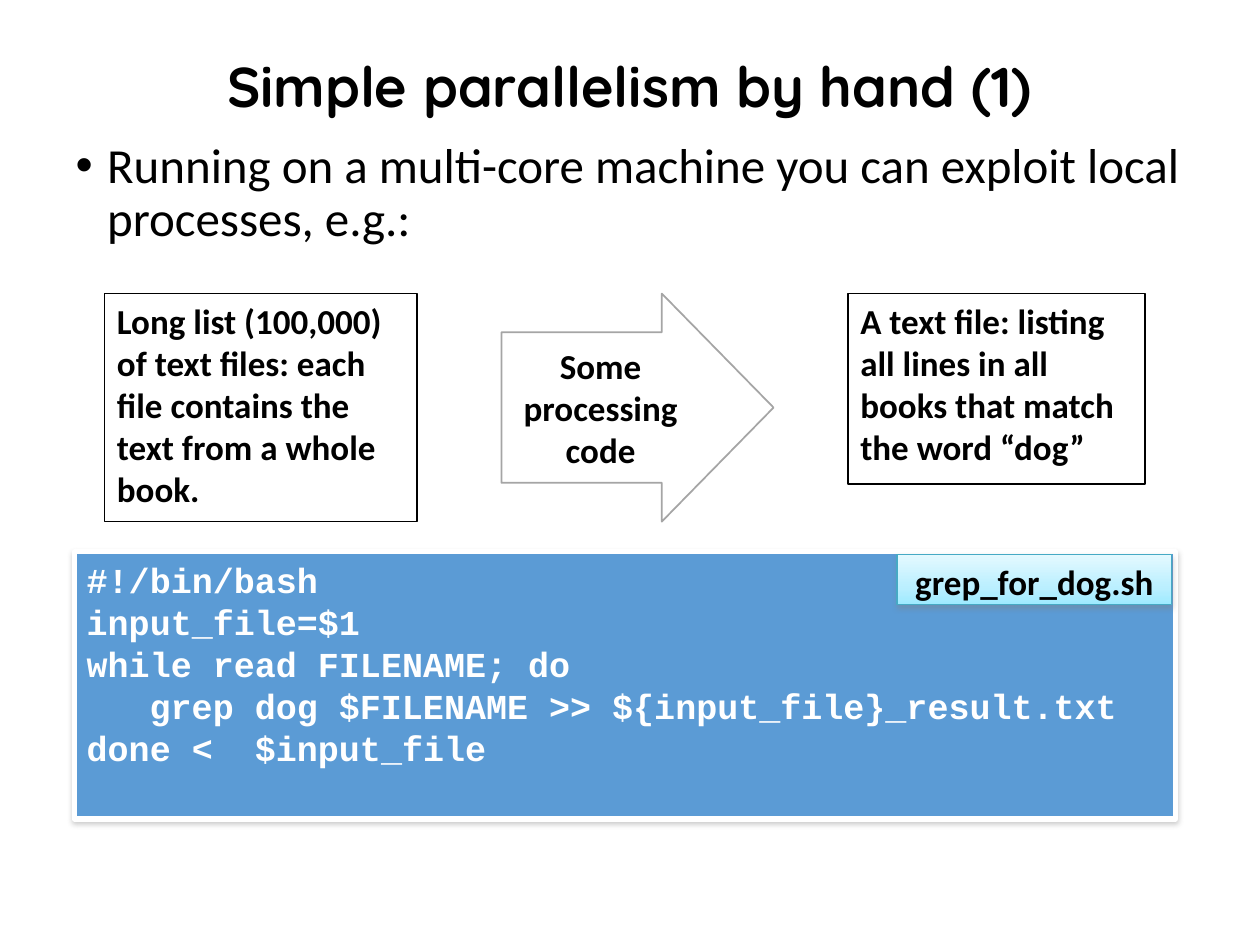
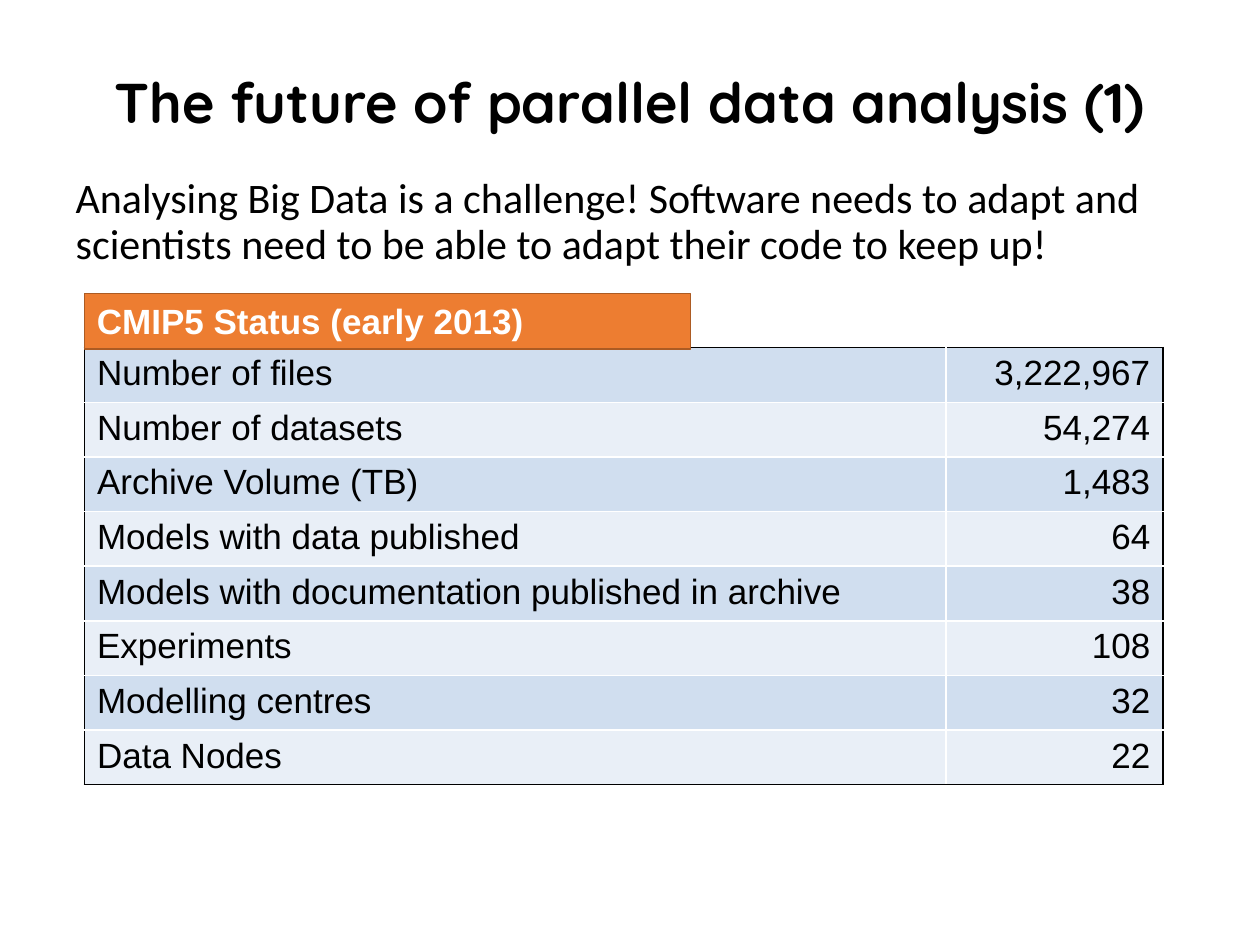
from copy import deepcopy

from lxml.etree import SubElement
from pptx import Presentation
from pptx.dml.color import RGBColor
from pptx.enum.shapes import MSO_SHAPE
from pptx.enum.text import MSO_ANCHOR, MSO_AUTO_SIZE, PP_ALIGN
from pptx.oxml.ns import qn
from pptx.util import Inches, Pt

BLACK = RGBColor(0x00, 0x00, 0x00)
WHITE = RGBColor(0xFF, 0xFF, 0xFF)
GRAY = RGBColor(0xA5, 0xA5, 0xA5)
BLUE = RGBColor(0x5B, 0x9B, 0xD5)
TEAL = RGBColor(0x46, 0xAA, 0xC5)
ORANGE = RGBColor(0xED, 0x7D, 0x31)
RUST = RGBColor(0xAC, 0x5B, 0x23)
SHADE = RGBColor(0x80, 0x80, 0x80)
BANDS = (RGBColor(0xD0, 0xDE, 0xEF), RGBColor(0xE9, 0xEF, 0xF7))
GLOW = (
    (0, RGBColor(0xE4, 0xF9, 0xFF)),
    (0.65, RGBColor(0xBB, 0xEF, 0xFF)),
    (1, RGBColor(0x9E, 0xEA, 0xFF)),
)

CODE = (
    "#!/bin/bash",
    "input_file=$1",
    "while read FILENAME; do",
    "\tgrep dog $FILENAME >> ${input_file}_result.txt",
    "done <  $input_file",
)
STATS = (
    ("Number of files", "3,222,967"),
    ("Number of datasets", "54,274"),
    ("Archive Volume (TB)", "1,483"),
    ("Models with data published", "64"),
    ("Models with documentation published in archive", "38"),
    ("Experiments", "108"),
    ("Modelling centres", "32"),
    ("Data Nodes", "22"),
)


class Deck:
    """Holds the shared style and the slide being built."""

    def __init__(self):
        self.prs = Presentation()
        self.prs.slide_width = Inches(10)
        self.prs.slide_height = Inches(7.5)

    def start(self, title, top, height):
        self.slide = self.prs.slides.add_slide(self.prs.slide_layouts[1])
        self.host = self.slide.shapes
        head = self.slide.shapes.title
        self.place(head, top, height)
        head.text_frame.vertical_anchor = MSO_ANCHOR.MIDDLE
        para = head.text_frame.paragraphs[0]
        para.line_spacing = 0.9
        self.label(para, title, 32, "Quicksand", BLACK, True, PP_ALIGN.CENTER)

    def group(self):
        self.host = self.slide.shapes.add_group_shape().shapes

    def place(self, holder, top, height):
        holder.left, holder.top = Inches(0.5), Inches(top)
        holder.width, holder.height = Inches(9), Inches(height)
        holder.text_frame.auto_size = MSO_AUTO_SIZE.NONE
        holder.text_frame.word_wrap = True

    def label(self, para, text, size, font, color, bold=False, align=PP_ALIGN.LEFT):
        para.alignment = align
        run = para.add_run()
        run.text = text
        run.font.size = Pt(size)
        run.font.name = font
        run.font.bold = bold
        run.font.color.rgb = color

    def body(self, text, top, height, size, bullet=False):
        holder = self.slide.placeholders[1]
        self.place(holder, top, height)
        para = holder.text_frame.paragraphs[0]
        props = para._p.get_or_add_pPr()
        indent = Inches(0.25) if bullet else 0
        props.set("marL", str(indent))
        props.set("indent", str(-indent))
        if bullet:
            SubElement(props, qn("a:buFont"), typeface="Arial")
            SubElement(props, qn("a:buChar"), char="•")
        else:
            SubElement(props, qn("a:buNone"))
        para.line_spacing = 0.9
        para.space_before = Pt(0)
        self.label(para, text, size, "Calibri", BLACK)

    def box(self, lines, area, fill, line, width=1, font="Calibri", color=BLACK,
            kind=MSO_SHAPE.RECTANGLE, align=PP_ALIGN.LEFT, anchor=MSO_ANCHOR.TOP):
        shape = self.host.add_shape(kind, *map(Inches, area))
        shape.shadow.inherit = False
        shape.fill.solid()
        shape.fill.fore_color.rgb = fill
        shape.line.color.rgb = line
        shape.line.width = Pt(width)
        frame = shape.text_frame
        frame.word_wrap = True
        frame.vertical_anchor = anchor
        for i, text in enumerate(lines):
            para = frame.add_paragraph() if i else frame.paragraphs[0]
            self.label(para, text, 20, font, color, True, align)
        return shape

    def shadow(self, shape):
        effects = shape._element.spPr.find(qn("a:effectLst"))
        outer = SubElement(effects, qn("a:outerShdw"), blurRad=str(Pt(3.1)),
                           dist=str(Pt(1.6)), dir="5400000", rotWithShape="0")
        tone = SubElement(outer, qn("a:srgbClr"), val=str(SHADE))
        SubElement(tone, qn("a:alpha"), val="38000")

    def blend(self, shape, stops):
        shape.fill.gradient()
        shape.fill.gradient_angle = 270
        marks = shape._element.spPr.find(".//" + qn("a:gsLst"))
        while len(marks) < len(stops):
            marks.append(deepcopy(marks[0]))
        for mark, (pos, color) in zip(shape.fill.gradient_stops, stops):
            mark.position = pos
            mark.color.rgb = color

    def border(self, cell, colors):
        props = cell._tc.get_or_add_tcPr()
        for i, (side, color) in enumerate(zip("LRTB", colors)):
            edge = props.makeelement(qn("a:ln" + side), {"w": str(Pt(1))})
            fill = SubElement(edge, qn("a:solidFill"))
            SubElement(fill, qn("a:srgbClr"), val=str(color))
            props.insert(i, edge)

    def table(self, rows, left, top, widths, height):
        count, last = len(rows), len(widths) - 1
        frame = self.host.add_table(count, len(widths), Inches(left), Inches(top),
                                    Inches(sum(widths)), Inches(height))
        grid = frame.table
        grid.first_row = False
        for col, width in zip(grid.columns, widths):
            col.width = Inches(width)
        for r, row in enumerate(rows):
            for c, text in enumerate(row):
                cell = grid.cell(r, c)
                cell.fill.solid()
                cell.fill.fore_color.rgb = BANDS[r % 2]
                align = PP_ALIGN.RIGHT if c else PP_ALIGN.LEFT
                self.label(cell.text_frame.paragraphs[0], text, 20, "Arial", BLACK,
                           align=align)
                outer = (c == 0, c == last, r == 0, r == count - 1)
                self.border(cell, [BLACK if edge else WHITE for edge in outer])


def main():
    deck = Deck()

    deck.start("Simple parallelism by hand (1)", 0.42, 0.57)
    deck.body("Running on a multi-core machine you can exploit local processes, e.g.:",
              1.07, 5.19, 28, True)
    deck.group()
    code = deck.box(CODE, (0.59, 4.38, 8.74, 2.12), BLUE, WHITE, 3,
                    "Courier New", WHITE)
    name = deck.box(["grep_for_dog.sh"], (7.12, 4.4, 2.18, 0.4), WHITE, TEAL, 0.75,
                    align=PP_ALIGN.CENTER)
    deck.blend(name, GLOW)
    for shape in (code, name):
        deck.shadow(shape)
    deck.group()
    deck.box(["A text file: listing all lines in all books that match the word “dog”"],
             (6.73, 2.33, 2.36, 1.51), WHITE, BLACK)
    deck.box(["Long list (100,000) of text files: each file contains the text "
              "from a whole book."], (0.83, 2.33, 2.48, 1.81), WHITE, BLACK)
    arrow = deck.box(["Some processing code"], (3.98, 2.33, 2.16, 1.81), WHITE, GRAY,
                     kind=MSO_SHAPE.RIGHT_ARROW, align=PP_ALIGN.CENTER,
                     anchor=MSO_ANCHOR.MIDDLE)
    arrow.adjustments[0] = 0.66
    arrow.adjustments[1] = 0.49

    deck.start("The future of parallel data analysis (1)", 0.52, 0.63)
    deck.body("Analysing Big Data is a challenge! Software needs to adapt and "
              "scientists need to be able to adapt their code to keep up!",
              1.36, 4.98, 24)
    deck.table(STATS, 0.67, 2.76, (6.84, 1.72), 3.47)
    deck.box(["CMIP5 Status (early 2013)"], (0.67, 2.33, 4.81, 0.44), ORANGE, RUST,
             font="Arial", color=WHITE)

    deck.prs.save("out.pptx")


if __name__ == "__main__":
    main()
